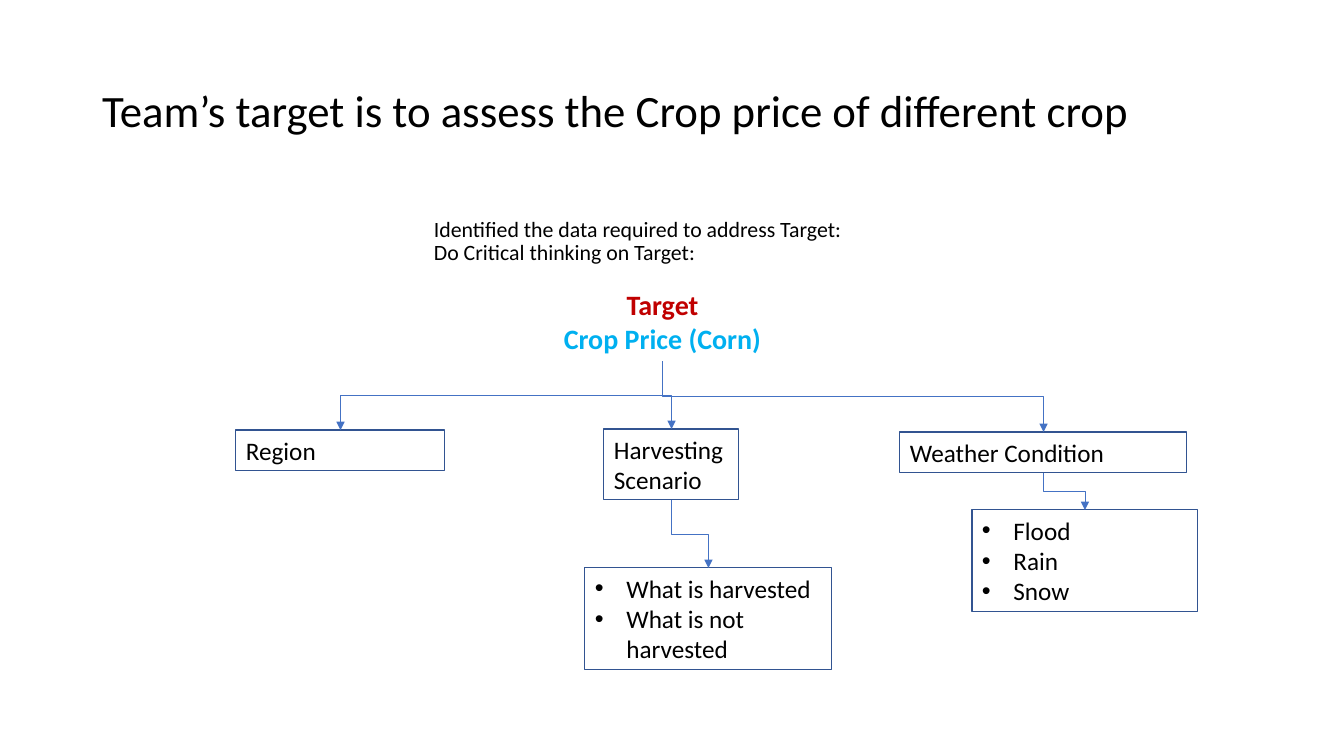
import pptx
import pptx.dml.color
import pptx.enum.shapes
import pptx.enum.text
import pptx.oxml
import pptx.oxml.ns
import pptx.util
from lxml import etree

RGB = pptx.dml.color.RGBColor
ALIGN = pptx.enum.text.PP_ALIGN
ANCHOR = pptx.enum.text.MSO_ANCHOR
AUTO_SIZE = pptx.enum.text.MSO_AUTO_SIZE

BLACK = RGB(0x00, 0x00, 0x00)
RED = RGB(0xC0, 0x00, 0x00)
SKY = RGB(0x00, 0xB0, 0xF0)
BORDER = RGB(0x32, 0x54, 0x91)
ARROW = RGB(0x44, 0x72, 0xC4)
FONT = "Calibri"
PX = 12192000 / 1344
BOTTOM, TOP = 2, 0  # connection sites of a rectangle
INDENT = round(31.5 * PX)


def px(*lengths):
    return [round(length * PX) for length in lengths]


def add_text(area, lines, size, colors=(BLACK,), bold=False, align=ALIGN.LEFT):
    """Add a text box with one paragraph per line, cycling through colors."""
    box = slide.shapes.add_textbox(*px(*area))
    frame = box.text_frame
    frame.word_wrap = True
    frame.auto_size = AUTO_SIZE.SHAPE_TO_FIT_TEXT
    for i, line in enumerate(lines):
        paragraph = frame.paragraphs[0] if i == 0 else frame.add_paragraph()
        paragraph.text = line
        paragraph.alignment = align
        paragraph.font.name = FONT
        paragraph.font.size = pptx.util.Pt(size)
        paragraph.font.bold = bold
        paragraph.font.color.rgb = colors[i % len(colors)]
    return box


presentation = pptx.Presentation()
presentation.slide_width, presentation.slide_height = px(1344, 756)
slide = presentation.slides.add_slide(presentation.slide_layouts.get_by_name("Title Only"))

# Title and instructions
title = slide.shapes.title
title.left, title.top, title.width, title.height = px(92, 40, 1160, 146)
title.text_frame.text = "Team’s target is to assess the Crop price of different crop"
title.text_frame.auto_size = AUTO_SIZE.NONE
heading = title.text_frame.paragraphs[0]
heading.alignment = ALIGN.LEFT
heading.font.name = FONT
heading.font.size = pptx.util.Pt(32)
heading.font.color.rgb = BLACK

instructions = add_text(
    (424, 177, 455, 130),
    ["Identified the data required to address Target: \vDo Critical thinking on Target:"],
    15.6,
)
instructions.text_frame.auto_size = AUTO_SIZE.NONE

for box in (title, instructions):
    box.text_frame.vertical_anchor = ANCHOR.MIDDLE
    box.text_frame.paragraphs[0].line_spacing = 0.9

# Tree of factors
target = add_text((545, 283, 235, 78), ["Target", "Crop Price (Corn)"], 20,
                  (RED, SKY), bold=True, align=ALIGN.CENTER)
region = add_text((236, 430, 209, 41), ["Region"], 18)
harvesting = add_text((604, 429, 135, 71), ["Harvesting Scenario"], 18)
weather = add_text((900, 432, 287, 41), ["Weather Condition"], 18)
harvest_list = add_text((585, 568, 247, 102), ["What is harvested", "What is not harvested"], 18)
weather_list = add_text((972, 510, 226, 102), ["Flood", "Rain", "Snow"], 18)

for box in (region, harvesting, weather, harvest_list, weather_list):
    box.line.color.rgb = BORDER
    box.line.width = pptx.util.Pt(0.75)

for box in (harvest_list, weather_list):
    for paragraph in box.text_frame.paragraphs:
        properties = paragraph._p.get_or_add_pPr()
        properties.set("marL", str(INDENT))
        properties.set("indent", str(-INDENT))
        etree.SubElement(properties, pptx.oxml.ns.qn("a:buFont")).set("typeface", "Arial")
        etree.SubElement(properties, pptx.oxml.ns.qn("a:buChar")).set("char", "•")
        # Bullet elements come before the default run properties
        run_defaults = properties.find(pptx.oxml.ns.qn("a:defRPr"))
        if run_defaults is not None:
            properties.append(run_defaults)

# Arrows, turned so that each leaves and arrives vertically
for parent, child in (
    (target, region), (target, harvesting), (target, weather),
    (harvesting, harvest_list), (weather, weather_list),
):
    arrow = slide.shapes.add_connector(pptx.enum.shapes.MSO_CONNECTOR.ELBOW, 0, 0, 0, 0)
    arrow.begin_connect(parent, BOTTOM)
    arrow.end_connect(child, TOP)
    across, down = arrow.end_x - arrow.begin_x, arrow.end_y - arrow.begin_y
    middle_x = (arrow.begin_x + arrow.end_x) // 2
    middle_y = (arrow.begin_y + arrow.end_y) // 2
    arrow.width, arrow.height = down, abs(across)
    arrow.left, arrow.top = middle_x - down // 2, middle_y - abs(across) // 2
    properties = arrow._element.spPr
    transform = properties.find(pptx.oxml.ns.qn("a:xfrm"))
    transform.set("rot", "16200000" if across > 0 else "5400000")
    transform.set("flipH", "1" if across > 0 else "0")
    transform.set("flipV", "0")
    arrow.line.color.rgb = ARROW
    arrow.line.width = pptx.util.Pt(0.5)
    line = properties.find(pptx.oxml.ns.qn("a:ln"))
    etree.SubElement(line, pptx.oxml.ns.qn("a:tailEnd")).set("type", "triangle")
    etree.SubElement(properties, pptx.oxml.ns.qn("a:effectLst"))

presentation.save("out.pptx")
